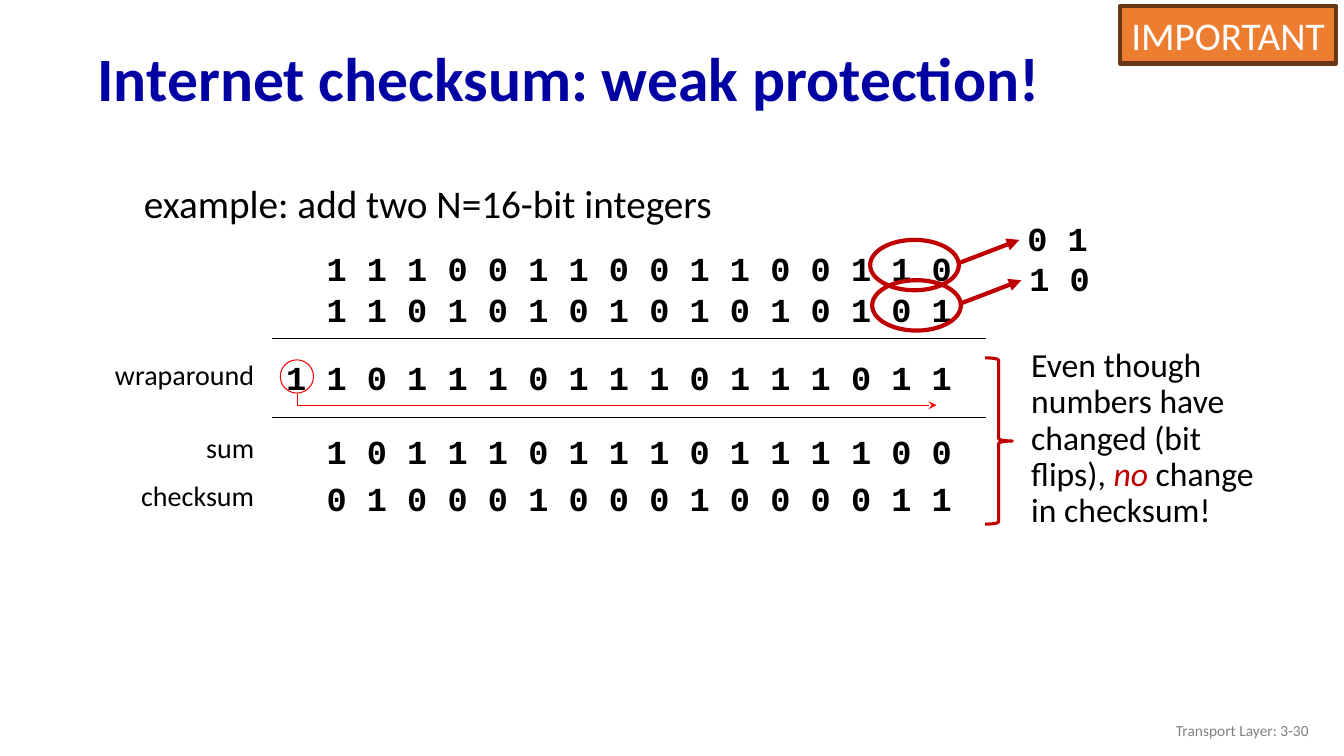
from lxml.etree import SubElement
from pptx import Presentation
from pptx.dml.color import RGBColor
from pptx.enum.shapes import MSO_CONNECTOR as Connector, MSO_SHAPE as Shape
from pptx.enum.text import MSO_ANCHOR as Anchor, PP_ALIGN as Align
from pptx.oxml.ns import qn
from pptx.util import Inches, Pt

COLORS = {
    "title": "0000A3",
    "ink": "000000",
    "carry": "FF0000",
    "accent": "C00000",
    "footer": "808080",
    "badge": "ED7D31",
    "badge_edge": "683715",
    "white": "FFFFFF",
}
BITS = [
    (3.14, 2.41, "1 1 1 0 0 1 1 0 0 1 1 0 0 1 1 0"),
    (3.14, 2.82, "1 1 0 1 0 1 0 1 0 1 0 1 0 1 0 1"),
    (2.74, 3.49, "1 1 0 1 1 1 0 1 1 1 0 1 1 1 0 1 1"),
    (3.14, 4.23, "1 0 1 1 1 0 1 1 1 0 1 1 1 1 0 0"),
    (3.14, 4.69, "0 1 0 0 0 1 0 0 0 1 0 0 0 0 1 1"),
]
LABELS = [(3.5, "wraparound"), (4.22, "sum"), (4.7, "checksum")]
FLIPS = [(8.63, 2.38, "0 1"), (8.65, 2.78, "1 0")]


def rgb(name):
    return RGBColor.from_string(COLORS[name])


def add_run(paragraph, text, size, color="ink", face="Calibri", bold=False, italic=False):
    run = paragraph.add_run()
    run.text = text
    font = run.font
    font.name, font.size, font.bold, font.italic = face, Pt(size), bold, italic
    font.color.rgb = rgb(color)


def add_text(slide, box, runs, align=Align.LEFT, anchor=Anchor.TOP, spacing=None, wrap=True):
    frame = slide.shapes.add_textbox(*map(Inches, box)).text_frame
    frame.word_wrap = wrap
    frame.vertical_anchor = anchor
    paragraph = frame.paragraphs[0]
    paragraph.alignment = align
    paragraph.line_spacing = spacing
    for text, style in runs:
        add_run(paragraph, text, **style)


def add_bits(slide, left, top, digits):
    style = dict(size=24, face="Courier New", bold=True)
    add_text(slide, (left, top, 6.85, 0.5), [(digits, style)], wrap=False)


def set_line(item, color, width, arrow=None):
    item.line.color.rgb = rgb(color)
    item.line.width = Pt(width)
    if arrow:
        SubElement(item.line._get_or_add_ln(), qn("a:tailEnd"), type=arrow)


def add_outline(slide, kind, box, color, width):
    outline = slide.shapes.add_shape(kind, *map(Inches, box))
    outline.shadow.inherit = False
    outline.fill.background()
    set_line(outline, color, width)
    return outline


def add_line(slide, start, end, color, width, arrow=None):
    line = slide.shapes.add_connector(Connector.STRAIGHT, *map(Inches, start + end))
    set_line(line, color, width, arrow)
    SubElement(line._element.spPr, qn("a:effectLst"))


def add_carry(slide):
    add_outline(slide, Shape.OVAL, (2.78, 3.57, 0.33, 0.33), "carry", 0.75)
    builder = slide.shapes.build_freeform(Inches(2.95), Inches(3.91))
    corners = [(2.95, 4.02), (9.29, 4.02)]
    builder.add_line_segments([(Inches(x), Inches(y)) for x, y in corners], close=False)
    carry = builder.convert_to_shape()
    carry.shadow.inherit = False
    carry.fill.background()
    set_line(carry, "carry", 0.75, "stealth")


def add_flip(slide, left, top, digits):
    width, height = 0.88, 0.5
    add_outline(slide, Shape.OVAL, (left, top, width, height), "accent", 3)
    add_line(slide, (left + width, top + 0.23), (left + width + 0.6, top),
             "accent", 3, "triangle")
    add_bits(slide, left + 1.46, top - 0.27, digits)


def add_badge(slide):
    badge = add_outline(slide, Shape.RECTANGLE, (11.11, 0.06, 2.14, 0.57), "badge_edge", 3)
    badge.fill.solid()
    badge.fill.fore_color.rgb = rgb("badge")
    frame = badge.text_frame
    frame.word_wrap = False
    frame.vertical_anchor = Anchor.MIDDLE
    frame.paragraphs[0].alignment = Align.CENTER
    add_run(frame.paragraphs[0], "IMPORTANT", 28, "white")


def main():
    deck = Presentation()
    deck.slide_width, deck.slide_height = Inches(13.33), Inches(7.5)
    slide = deck.slides.add_slide(deck.slide_layouts[6])

    add_text(slide, (0.87, 0.32, 12.14, 0.98),
             [("Internet checksum: weak protection!", dict(size=44, color="title", bold=True))],
             anchor=Anchor.MIDDLE, spacing=0.9)
    add_text(slide, (1.33, 1.59, 8.5, 0.8),
             [("example: add two N=16-bit integers", dict(size=28))], spacing=1.3)

    for rule_top in (3.36, 4.14):
        add_line(slide, (2.7, rule_top), (9.78, rule_top), "ink", 1)
    for top, label in LABELS:
        add_text(slide, (0.82, top, 1.8, 0.44), [(label, dict(size=20))], align=Align.RIGHT)
    for left, top, digits in BITS:
        add_bits(slide, left, top, digits)
    add_carry(slide)
    for left, top, digits in FLIPS:
        add_flip(slide, left, top, digits)

    add_outline(slide, Shape.RIGHT_BRACE, (9.77, 3.55, 0.27, 1.65), "accent", 2.25)
    add_text(slide, (10.13, 3.41, 2.63, 1.92), [
        ("Even though numbers have changed (bit flips), ", dict(size=24)),
        ("no", dict(size=24, color="accent", italic=True)),
        (" change in checksum!", dict(size=24)),
    ], spacing=0.9)
    add_text(slide, (10.08, 7.05, 3, 0.4),
             [("Transport Layer: 3-30", dict(size=11, color="footer"))],
             align=Align.RIGHT, anchor=Anchor.MIDDLE)
    add_badge(slide)
    deck.save("out.pptx")


if __name__ == "__main__":
    main()
